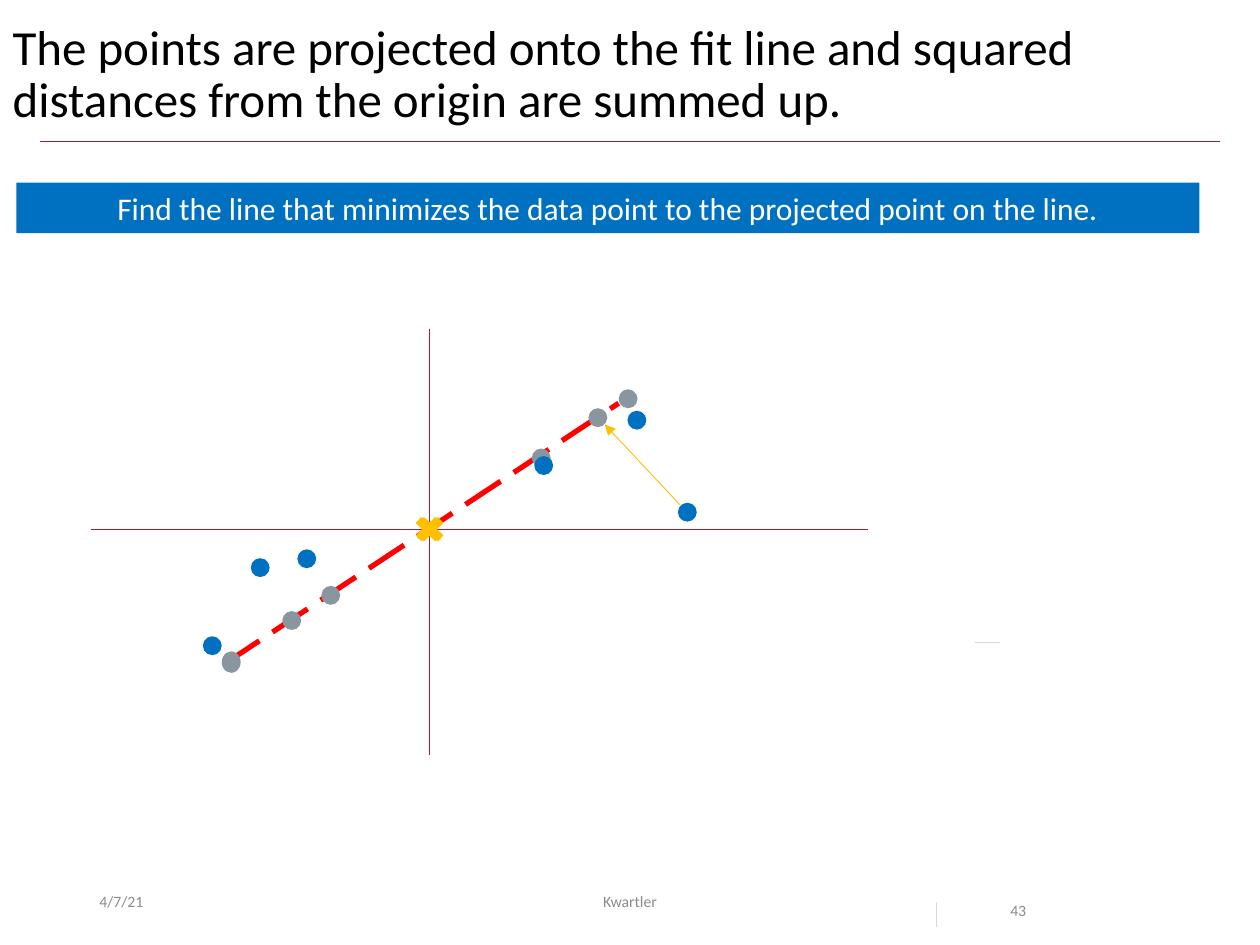
import pptx
import pptx.util
import pptx.dml.color
import pptx.enum.dml
import pptx.enum.shapes
import pptx.enum.text
import lxml.etree
from pptx.util import Inches

COLORS = {"axis": "A51C30", "fit": "FF0000", "projected": "8996A0",
          "data": "0070C0", "origin": "FFC000", "tick": "D9D9D9",
          "footer": "8C8C8C", "title": "000000", "white": "FFFFFF"}
RGB = {k: pptx.dml.color.RGBColor.from_string(v) for k, v in COLORS.items()}
MSO = pptx.enum.shapes.MSO_SHAPE
ALIGN = pptx.enum.text.PP_ALIGN
ANCHOR = pptx.enum.text.MSO_ANCHOR
A = "{http://schemas.openxmlformats.org/drawingml/2006/main}"

prs = pptx.Presentation()
prs.slide_width, prs.slide_height = Inches(10), Inches(7.5)
s = prs.slides.add_slide(prs.slide_layouts[5])


def add_line(x1, y1, x2, y2, color, width=0.5):
    ln = s.shapes.add_connector(pptx.enum.shapes.MSO_CONNECTOR.STRAIGHT,
                                Inches(x1), Inches(y1), Inches(x2), Inches(y2))
    ln.line.color.rgb = RGB[color]
    ln.line.width = pptx.util.Pt(width)
    lxml.etree.SubElement(ln._element.spPr, A + "effectLst")
    return ln


def add_filled(kind, x, y, w, h, color):
    sp = s.shapes.add_shape(kind, Inches(x), Inches(y), Inches(w), Inches(h))
    sp.shadow.inherit = False
    sp.fill.solid()
    sp.fill.fore_color.rgb = RGB[color]
    sp.line.fill.background()
    return sp


# Title and rule
title = s.shapes.title
title.left, title.top = Inches(0), Inches(0.13)
title.width, title.height = Inches(10), Inches(1.25)
tf = title.text_frame
tf.text = ("The points are projected onto the fit line and squared "
           "distances from the origin are summed up.")
tf.word_wrap = True
tf.auto_size = pptx.enum.text.MSO_AUTO_SIZE.NONE
tf.vertical_anchor = ANCHOR.TOP
p = tf.paragraphs[0]
p.alignment = ALIGN.LEFT
p.line_spacing = 0.9
p.font.name, p.font.size = "Calibri", pptx.util.Pt(28)
p.font.color.rgb = RGB["title"]
add_line(0.32, 1.12, 9.68, 1.12, "axis")

# Fit line and axes
fit = add_line(1.78, 5.27, 4.91, 3.2, "fit", 3)
fit.line.dash_style = pptx.enum.dml.MSO_LINE.LONG_DASH
add_line(3.41, 2.61, 3.41, 5.99, "axis")
add_line(0.72, 4.2, 6.89, 4.2, "axis")

# Projected points, banner, then data points on top
DOT = 0.15
add_filled(MSO.MATH_MULTIPLY, 3.25, 4.06, 0.3, 0.28, "origin")
for x, y, h in [(2.24, 4.85, DOT), (2.55, 4.65, DOT), (1.76, 5.17, 0.17),
                (4.22, 3.56, DOT), (4.67, 3.24, DOT), (4.91, 3.09, DOT)]:
    add_filled(MSO.OVAL, x, y, DOT, h, "projected")

banner = add_filled(MSO.RECTANGLE, 0.13, 1.45, 9.39, 0.4, "data")
tf = banner.text_frame
tf.word_wrap = True
tf.vertical_anchor = ANCHOR.TOP
tf.auto_size = pptx.enum.text.MSO_AUTO_SIZE.SHAPE_TO_FIT_TEXT
p = tf.paragraphs[0]
p.text = "Find the line that minimizes the data point to the projected point on the line."
p.alignment = ALIGN.CENTER
p.font.name, p.font.size = "Calibri", pptx.util.Pt(18)
p.font.color.rgb = RGB["white"]

add_filled(MSO.MATH_MULTIPLY, 3.27, 4.06, 0.3, 0.28, "origin")
for x, y in [(1.99, 4.43), (2.36, 4.36), (1.61, 5.05),
             (4.24, 3.62), (5.38, 3.99), (4.98, 3.26)]:
    add_filled(MSO.OVAL, x, y, DOT, DOT, "data")

# Projection arrow
arrow = add_line(5.4, 4.01, 4.8, 3.37, "origin")
lxml.etree.SubElement(arrow.line._get_or_add_ln(), A + "tailEnd", type="triangle")

# Footer texts and small ticks
for text, x, w, align, spacing in [
        ("4/7/21", 0.69, 2.25, ALIGN.LEFT, 1.0),
        ("Kwartler", 3.31, 3.38, ALIGN.CENTER, 1.0),
        ("43", 7.92, 0.94, ALIGN.LEFT, 2.0)]:
    tf = s.shapes.add_textbox(Inches(x), Inches(6.95), Inches(w), Inches(0.4)).text_frame
    tf.word_wrap = True
    tf.vertical_anchor = ANCHOR.MIDDLE
    p = tf.paragraphs[0]
    p.text, p.alignment, p.line_spacing = text, align, spacing
    p.font.name, p.font.size = "Calibri", pptx.util.Pt(9)
    p.font.color.rgb = RGB["footer"]
add_line(7.43, 7.16, 7.43, 7.36, "tick")
add_line(7.74, 5.1, 7.94, 5.1, "tick")

prs.save("out.pptx")
